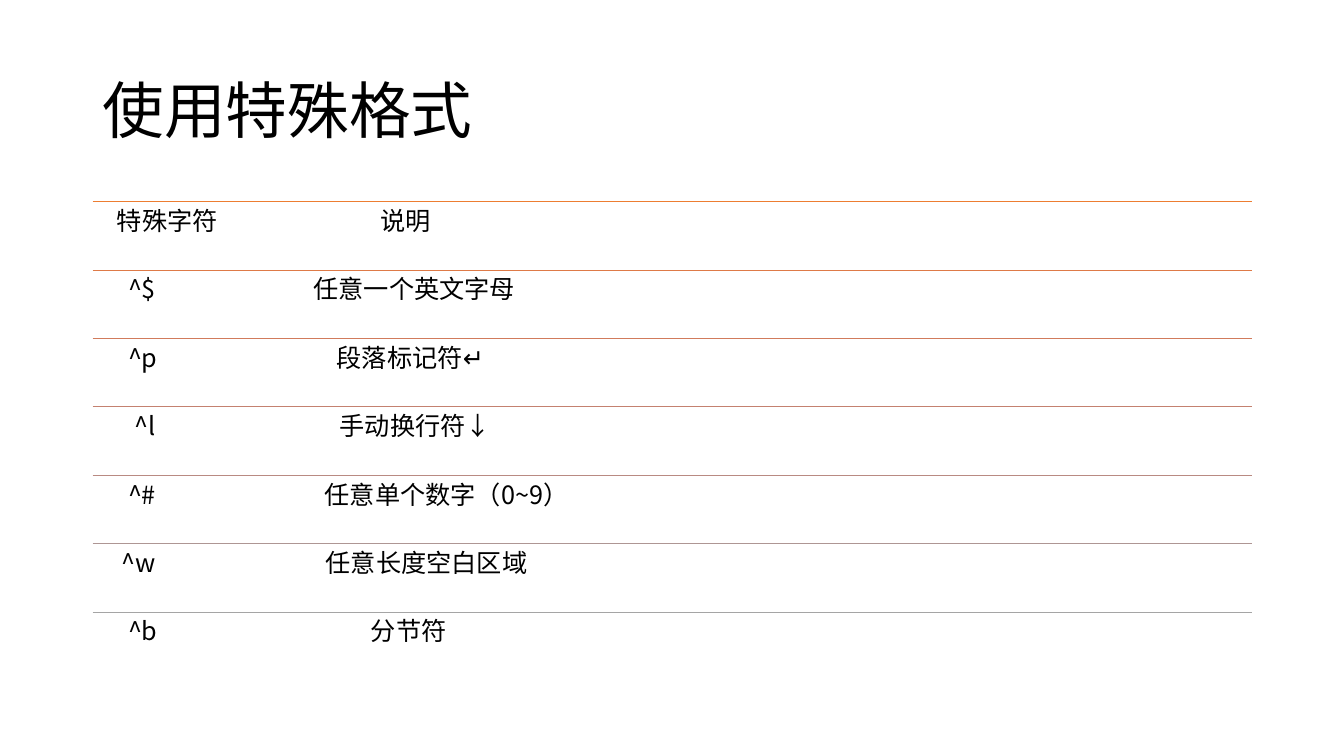
from dataclasses import dataclass

from pptx import Presentation
from pptx.dml.color import RGBColor as Color
from pptx.enum.shapes import MSO_CONNECTOR as Link
from pptx.enum.text import MSO_ANCHOR as Anchor
from pptx.oxml.ns import qn
from pptx.oxml.xmlchemy import OxmlElement as Node
from pptx.util import Inches, Pt


@dataclass(frozen=True)
class Theme:
    font: str = "Noto Sans CJK SC"
    ink: str = "000000"
    title: int = 44
    body: int = 18
    rules: tuple = ("ED7D31", "DE7A47", "D17B5C", "C48170",
                    "B98A82", "AE9694", "A5A5A5")


# Key, its indent, note, its start from the same edge
ROWS = [
    ("特殊字符", 0.17, "说明", 2.78),
    ("^$", 0.28, "任意一个英文字母", 2.12),
    ("^p", 0.28, "段落标记符↵", 2.35),
    ("^l", 0.34, "手动换行符↓", 2.38),
    ("^#", 0.28, "任意单个数字（0~9）", 2.23),
    ("^w", 0.22, "任意长度空白区域", 2.24),
    ("^b", 0.28, "分节符", 2.69),
]
LEFT, WIDTH = 0.92, 11.5
TOP, HEIGHT = 2, 4.75
PAD = 0.07


class Deck:
    def __init__(self, theme):
        self.theme = theme
        self.file = Presentation()
        self.file.slide_width = Inches(13.33)
        self.file.slide_height = Inches(7.5)
        self.slide = self.file.slides.add_slide(self.file.slide_layouts[6])

    def text(self, words, box, size, anchor=Anchor.TOP, left=0.1,
             pad=0.05, tab=None):
        shape = self.slide.shapes.add_textbox(*map(Inches, box))
        frame = shape.text_frame
        frame.word_wrap = True
        frame.vertical_anchor = anchor
        frame.margin_left = Inches(left)
        frame.margin_right = Inches(pad)
        frame.margin_top = frame.margin_bottom = Inches(pad)
        para = frame.paragraphs[0]
        para.line_spacing = 0.9
        if tab is not None:
            stops = Node("a:tabLst")
            stop = Node("a:tab")
            stop.set("pos", str(Inches(tab)))
            stop.set("algn", "l")
            stops.append(stop)
            para._p.get_or_add_pPr().append(stops)
        run = para.add_run()
        run.text = words
        font = run.font
        font.size = Pt(size)
        font.name = self.theme.font
        font.color.rgb = Color.from_string(self.theme.ink)
        east = Node("a:ea")
        east.set("typeface", self.theme.font)
        font._element.find(qn("a:latin")).addnext(east)

    def rule(self, top, color):
        line = self.slide.shapes.add_connector(
            Link.STRAIGHT, Inches(LEFT), Inches(top),
            Inches(LEFT + WIDTH), Inches(top))
        line.line.color.rgb = Color.from_string(color)
        line.line.width = Pt(0.5)
        line._element.spPr.append(Node("a:effectLst"))

    def save(self):
        self.file.save("out.pptx")


def main():
    theme = Theme()
    deck = Deck(theme)

    # Title
    deck.text("使用特殊格式", (LEFT, 0.4, WIDTH, 1.45), theme.title,
              anchor=Anchor.MIDDLE)

    # Ruled list
    step = HEIGHT / len(ROWS)
    for i, (key, indent, note, start) in enumerate(ROWS):
        top = TOP + i * step
        deck.rule(top, theme.rules[i])
        deck.text(f"{key}\t{note}", (LEFT, top, WIDTH, step), theme.body,
                  left=PAD + indent, pad=PAD, tab=start - indent)

    deck.save()


if __name__ == "__main__":
    main()
